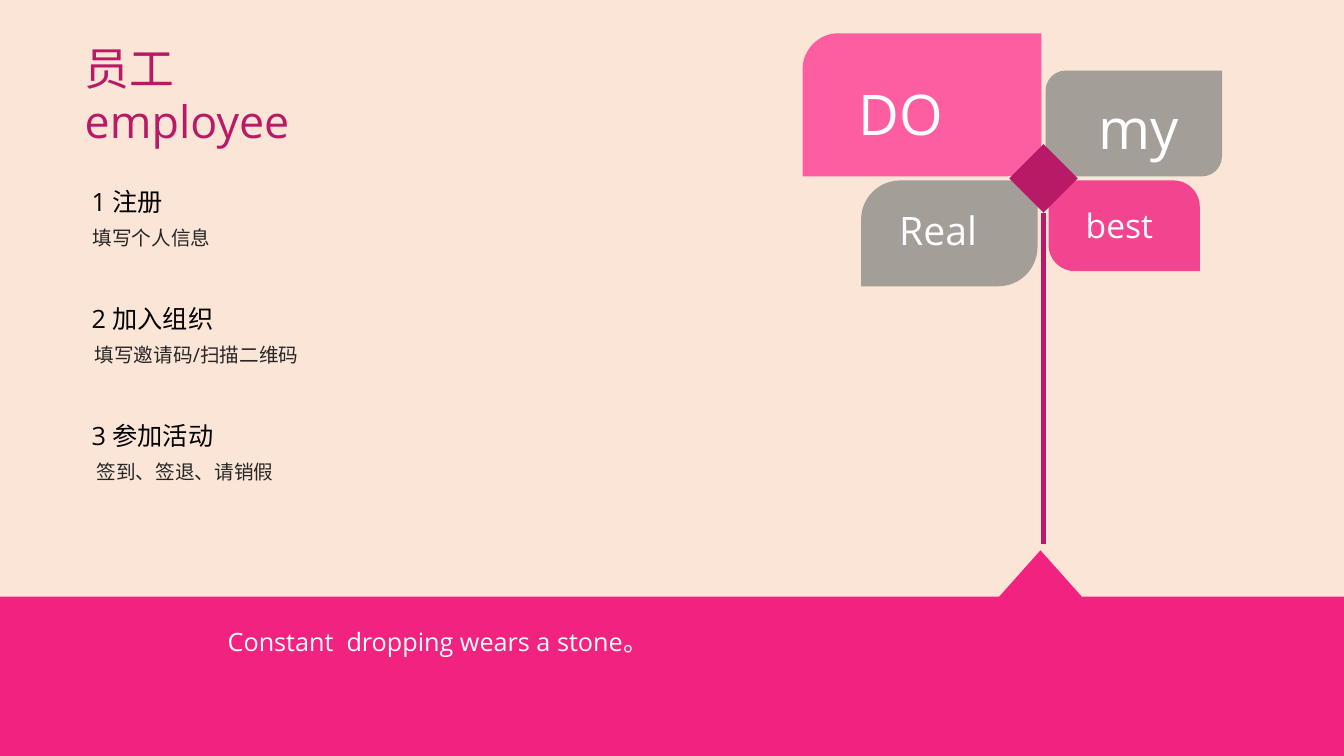
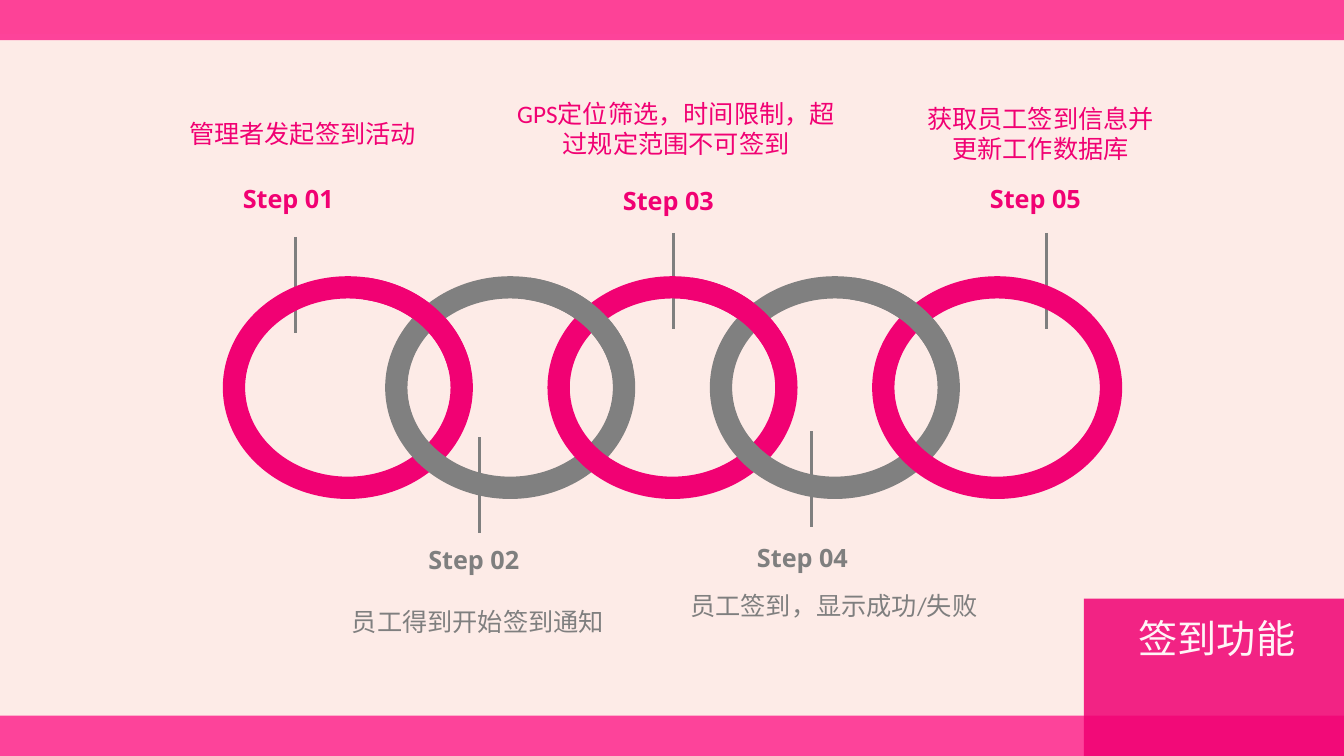
from lxml import etree
from pptx import Presentation
from pptx.dml.color import RGBColor
from pptx.enum import shapes, text
from pptx.oxml import ns
from pptx.util import Inches, Pt

PEACH = RGBColor(0xFB, 0xE5, 0xD6)
BLUSH = RGBColor(0xFF, 0xEF, 0xF2)
PALE = RGBColor(0xFF, 0xF5, 0xF7)
WHITE = RGBColor(0xFF, 0xFF, 0xFF)
BLACK = RGBColor(0, 0, 0)
DARK = RGBColor(0x26, 0x26, 0x26)
GRAY = RGBColor(0x80, 0x80, 0x80)
TEXT_GRAY = RGBColor(0x7F, 0x7F, 0x7F)
ROSE = RGBColor(0xFE, 0x26, 0x8D)
PINK = RGBColor(0xF1, 0x01, 0x73)
PLUM = RGBColor(0xB9, 0x1A, 0x67)
HEAD_FONT = "Open Sans"
BODY_FONT = "Calibri"
WIDTH, HEIGHT = 13.33, 7.5
BAND_H = 0.4
LEFT, CENTER = text.PP_ALIGN.LEFT, text.PP_ALIGN.CENTER
TOP, MIDDLE = text.MSO_ANCHOR.TOP, text.MSO_ANCHOR.MIDDLE
SHAPE = shapes.MSO_SHAPE


def paint(sp, color, alpha=100):
    """Give a shape a flat fill, see-through below 100, without line or shadow."""
    sp.shadow.inherit = False
    sp.line.fill.background()
    sp.fill.solid()
    sp.fill.fore_color.rgb = color
    if alpha < 100:
        clr = sp._element.spPr.find(".//" + ns.qn("a:srgbClr"))
        etree.SubElement(clr, ns.qn("a:alpha")).set("val", str(alpha * 1000))


def add_block(s, kind, box, color, alpha=100, adj=()):
    """Add a painted preset shape."""
    sp = s.shapes.add_shape(kind, *map(Inches, box))
    for i, value in enumerate(adj):
        sp.adjustments[i] = value
    paint(sp, color, alpha)
    return sp


def add_line(s, x, top, bottom, color, width):
    """Add a vertical line."""
    line = s.shapes.add_connector(shapes.MSO_CONNECTOR.STRAIGHT, Inches(x),
                                  Inches(top), Inches(x), Inches(bottom))
    line.line.color.rgb = color
    line.line.width = Pt(width)
    etree.SubElement(line._element.spPr, ns.qn("a:effectLst"))
    return line


def write(sp, lines, size, color, font=HEAD_FONT, align=LEFT, anchor=TOP, bold=False):
    """Write one formatted paragraph for each line."""
    tf = sp.text_frame
    tf.word_wrap = True
    tf.auto_size = text.MSO_AUTO_SIZE.NONE
    tf.vertical_anchor = anchor
    for i, line in enumerate(lines):
        p = tf.add_paragraph() if i else tf.paragraphs[0]
        p.alignment = align
        r = p.add_run()
        r.text = line
        r.font.name, r.font.size, r.font.bold = font, Pt(size), bold
        r.font.color.rgb = color


def add_text(s, box, lines, size, color, **style):
    """Add a text box."""
    write(s.shapes.add_textbox(*map(Inches, box)), lines, size, color, **style)


def new_slide(prs):
    """Add a title-only slide on the peach background."""
    s = prs.slides.add_slide(prs.slide_layouts[5])
    s.background.fill.solid()
    s.background.fill.fore_color.rgb = PEACH
    return s


def set_title(s, box, lines, size, color, align=LEFT):
    """Place the title in front of the shapes drawn so far."""
    sp = s.shapes.title
    sp.left, sp.top, sp.width, sp.height = map(Inches, box)
    write(sp, lines, size, color, align=align)
    s.shapes._spTree.append(sp._element)


def add_signpost(s, x, y):
    """Draw the four leaves on a pole, with the diamond centred at x, y."""
    leaves = [
        (-2.39, -1.44, 2.37, 1.42, ROSE, (0.252, 0)),
        (-1.81, 0.02, 1.75, 1.05, GRAY, (0.37, 0)),
        (0.02, -1.07, 1.75, 1.05, GRAY, (0.19, 0)),
        (0.05, 0.02, 1.5, 0.9, PINK, (0, 0.29)),
    ]
    for dx, dy, w, h, color, adj in leaves:
        add_block(s, SHAPE.ROUND_2_DIAG_RECTANGLE, (x + dx, y + dy, w, h), color, 70, adj)
    half = 0.34
    diamond = add_block(s, SHAPE.DIAMOND, (x - half, y - half, 2 * half, 2 * half), PLUM)
    add_line(s, x, y + half, y + 3.63, PLUM, 3).begin_connect(diamond, 2)
    words = [
        ("DO", -1.93, -1.03, 1.72, 0.77, 40),
        ("my", 0.45, -0.89, 1.72, 0.77, 40),
        ("Real", -1.53, 0.23, 1.31, 0.57, 28),
        ("best", 0.32, 0.21, 1.07, 0.5, 24),
    ]
    for word, dx, dy, w, h, size in words:
        add_text(s, (x + dx, y + dy, w, h), [word], size, WHITE)


def add_motto_band(s, top):
    """Draw the pink footer with its peak and motto."""
    outline = [(0, top), (9.91, top), (10.32, top - 0.46), (10.73, top),
               (WIDTH, top), (WIDTH, HEIGHT), (0, HEIGHT)]
    points = [(Inches(x), Inches(y)) for x, y in outline]
    fb = s.shapes.build_freeform(*points[0])
    fb.add_line_segments(points[1:])
    paint(fb.convert_to_shape(), PINK, 85)
    add_text(s, (2.16, top + 0.24, 9.9, 0.4), ["Constant  dropping wears a stone。"], 18, WHITE)


def add_tasks(s, x, y, pitch):
    """List the numbered tasks downwards from x, y."""
    tasks = [("1 注册", "填写个人信息"), ("2 加入组织", "填写邀请码/扫描二维码"),
             ("3 参加活动", "签到、签退、请销假")]
    for i, (task, detail) in enumerate(tasks):
        top = y + i * pitch
        add_text(s, (x, top, 2.03, 0.4), [task], 18, BLACK)
        add_text(s, (x + 0.01 + 0.02 * i, top + 0.39, 5.87, 0.34), [detail], 14, DARK)


def add_chain(s, x, y, pitch, count):
    """Draw interlaced rings; each passes over the next one at the top."""
    w, h, band, degree = 2.48, 2.21, 0.1, 0.6
    rings = [((x + i * pitch, y, w, h), (PINK, GRAY)[i % 2]) for i in range(count)]
    for box, color in rings:
        add_block(s, SHAPE.DONUT, box, color, adj=(band,))
    for box, color in rings[:-1]:
        add_block(s, SHAPE.BLOCK_ARC, box, color, adj=(280 * degree, 350 * degree, band))


def add_steps(s):
    """Place the leader lines, captions and labels around the chain of rings."""
    steps = [
        ("Step 01", (2.31, 1.77), 2.93, 2.35, (1.31, 0.87, 3.38), ["管理者发起签到活动"]),
        ("Step 02", (4.15, 5.35), 4.76, 4.34, (2.92, 5.71, 3.64), ["员工得到开始签到通知"]),
        ("Step 03", (6.08, 1.79), 6.68, 2.31, (5.01, 0.82, 3.39),
         ["GPS定位筛选，时间限制，超过规定范围不可签到"]),
        ("Step 04", (7.41, 5.33), 8.05, 4.28, (6.73, 5.55, 3.08), ["员工签到，显示成功/失败"]),
        ("Step 05", (9.72, 1.77), 10.38, 2.31, (8.53, 0.87, 3.58),
         ["获取员工签到信息并", "更新工作数据库"]),
    ]
    for i, (label, at, line_x, line_top, caption, lines) in enumerate(steps):
        color = (PINK, TEXT_GRAY)[i % 2]
        add_line(s, line_x, line_top, line_top + 0.95, TEXT_GRAY, 2.25)
        add_text(s, (*caption, 0.91), lines, 18, color, font=BODY_FONT,
                 align=CENTER, anchor=MIDDLE)
        add_text(s, (*at, 1.24, 0.4), [label], 18, color, bold=True)
    add_chain(s, 2.21, 2.74, 1.61, len(steps))


def build_employee(prs):
    """Build the employee slide."""
    s = new_slide(prs)
    add_signpost(s, 10.35, 1.77)
    add_motto_band(s, 5.92)
    set_title(s, (0.74, 0.35, 3.6, 1.18), ["员工", "employee"], 32, PLUM)
    add_tasks(s, 0.81, 1.8, 1.16)


def build_sign_in(prs):
    """Build the sign-in process slide."""
    s = new_slide(prs)
    add_block(s, SHAPE.RECTANGLE, (0, 0.34, WIDTH, HEIGHT - 0.34), BLUSH, 64)
    for top in (0, HEIGHT - BAND_H):
        add_block(s, SHAPE.RECTANGLE, (0, top, WIDTH, BAND_H), ROSE, 85)
    add_steps(s)
    add_block(s, SHAPE.RECTANGLE, (10.75, 5.94, WIDTH - 10.75, HEIGHT - 5.94), PINK, 85)
    set_title(s, (10.81, 6.04, 2.52, 0.57), ["签到功能"], 28, PALE, CENTER)


def main():
    """Build and save the presentation."""
    prs = Presentation()
    prs.slide_width, prs.slide_height = Inches(WIDTH), Inches(HEIGHT)
    build_employee(prs)
    build_sign_in(prs)
    prs.save("out.pptx")


if __name__ == "__main__":
    main()
